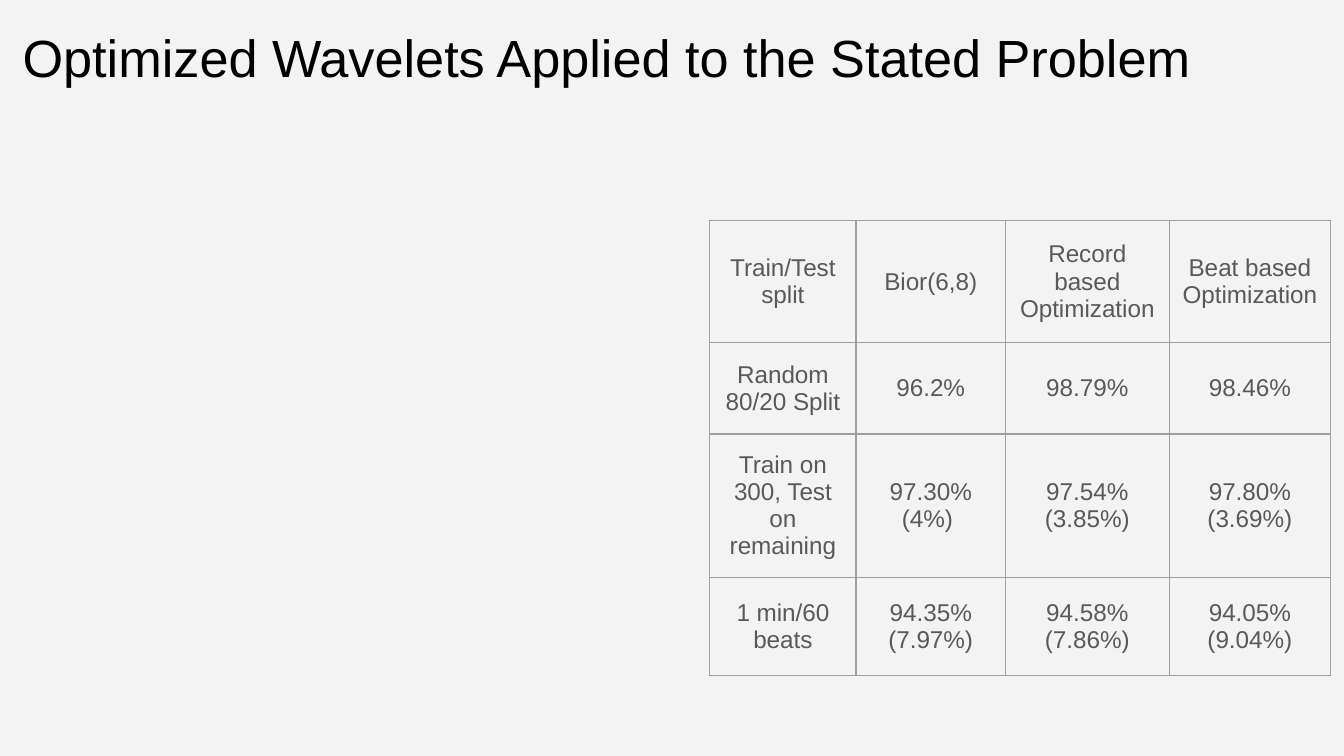
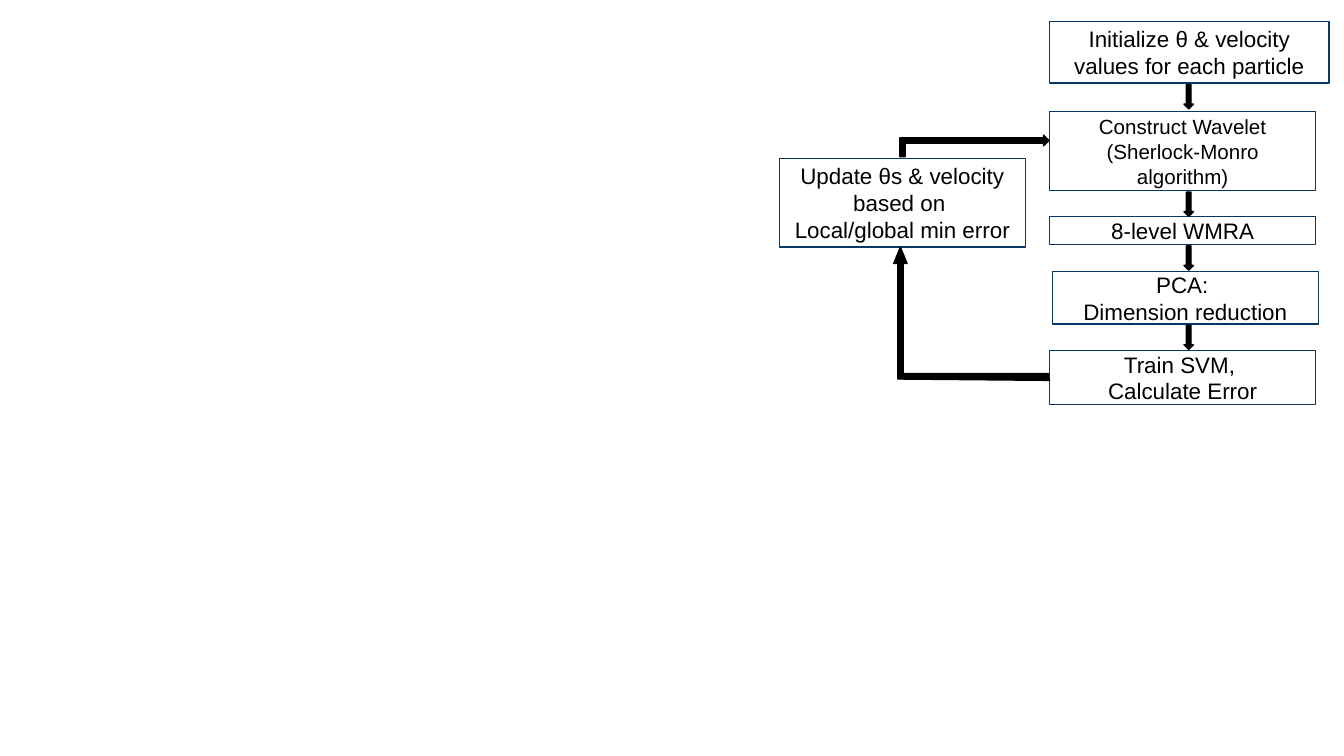
from lxml import etree
from pptx import Presentation
from pptx.dml.color import RGBColor
from pptx.enum.shapes import MSO_SHAPE as Shape
from pptx.enum.text import MSO_ANCHOR as Anchor, PP_ALIGN as Align
from pptx.oxml.ns import qn
from pptx.util import Inches, Pt

FONT = "Arial"
BLACK, GREY, NAVY = "000000", "595959", "073763"
BORDER, PALE, WHITE = "9E9E9E", "F3F3F3", "FFFFFF"
INSET = 0.1
LINE_WIDTH = 0.75


def color(value):
    return RGBColor.from_string(value)


def write(frame, text, size=12, ink=BLACK, align=Align.CENTER, space_after=0):
    """Fill a text frame, one paragraph for each line of text."""
    frame.word_wrap = True
    for index, line in enumerate(text.split("\n")):
        para = frame.add_paragraph() if index else frame.paragraphs[0]
        para.alignment = align
        para.space_after = Pt(space_after)
        span = para.add_run()
        span.text = line
        span.font.name, span.font.size = FONT, Pt(size)
        span.font.color.rgb = color(ink)


def set_margins(target):
    target.margin_left = target.margin_right = Inches(INSET)
    target.margin_top = target.margin_bottom = Inches(INSET)


class Page:
    def __init__(self, deck, background):
        self.slide = deck.slides.add_slide(deck.slide_layouts[6])
        self.shapes = self.slide.shapes
        fill = self.slide.background.fill
        fill.solid()
        fill.fore_color.rgb = color(background)

    def title(self, text, left, top, width, height):
        box = self.shapes.add_textbox(*map(Inches, (left, top, width, height)))
        set_margins(box.text_frame)
        box.text_frame.vertical_anchor = Anchor.TOP
        write(box.text_frame, text, size=28, align=Align.LEFT)

    def style(self, shape, line, fill=None):
        shape.shadow.inherit = False
        shape.line.color.rgb = color(line)
        shape.line.width = Pt(LINE_WIDTH)
        if fill:
            shape.fill.solid()
            shape.fill.fore_color.rgb = color(fill)
        else:
            shape.fill.background()

    def step(self, text, left, top, width, height, size=12):
        box = self.shapes.add_shape(Shape.RECTANGLE, *map(Inches, (left, top, width, height)))
        self.style(box, NAVY)
        set_margins(box.text_frame)
        box.text_frame.vertical_anchor = Anchor.MIDDLE
        write(box.text_frame, text, size=size)

    def arrow(self, kind, left, top, width, height, rotation=0, flip=False):
        arrow = self.shapes.add_shape(kind, *map(Inches, (left, top, width, height)))
        self.style(arrow, BLACK, BLACK)
        arrow.rotation = rotation
        if flip:
            arrow._element.spPr.find(qn("a:xfrm")).set("flipH", "1")

    def outline(self, points):
        start, *rest = [(Inches(x), Inches(y)) for x, y in points]
        builder = self.shapes.build_freeform(*start)
        builder.add_line_segments(rest, close=True)
        self.style(builder.convert_to_shape(), BLACK, BLACK)

    def table(self, rows, left, top, widths, heights):
        frame = self.shapes.add_table(
            len(rows), len(widths), Inches(left), Inches(top),
            Inches(sum(widths)), Inches(sum(heights)))
        table = frame.table
        table.first_row = table.horz_banding = False
        for column, width in zip(table.columns, widths):
            column.width = Inches(width)
        for row, height, texts in zip(table.rows, heights, rows):
            row.height = Inches(height)
            for cell, text in zip(row.cells, texts):
                set_margins(cell)
                cell.vertical_anchor = Anchor.MIDDLE
                write(cell.text_frame, text, size=13, ink=GREY,
                      space_after=16 if "%)" in text else 0)
                self.border(cell)
                cell.fill.background()

    def border(self, cell):
        properties = cell._tc.get_or_add_tcPr()
        for side in ("a:lnL", "a:lnR", "a:lnT", "a:lnB"):
            line = etree.SubElement(properties, qn(side), w=str(Pt(LINE_WIDTH)))
            fill = etree.SubElement(line, qn("a:solidFill"))
            etree.SubElement(fill, qn("a:srgbClr"), val=BORDER)


def build_results(deck):
    page = Page(deck, PALE)
    page.title("Optimized Wavelets Applied to the Stated Problem", 0.07, 0.09, 9.32, 0.63)
    rows = [
        ["Train/Test split", "Bior(6,8)", "Record based Optimization", "Beat based Optimization"],
        ["Random 80/20 Split ", "96.2%", "98.79%", "98.46%"],
        ["Train on 300, Test on remaining", "97.30% (4%) ", "97.54% (3.85%)", "97.80% (3.69%)"],
        ["1 min/60 beats", "94.35% (7.97%)", "94.58% (7.86%)", "94.05% (9.04%)"],
    ]
    page.table(rows, 5.28, 1.64, [1.09, 1.11, 1.22, 1.2], [0.91, 0.68, 0.73, 0.73])


def build_flow(deck):
    page = Page(deck, WHITE)

    # Main column, with an arrow below every step but the last
    steps = [
        ("Initialize θ & velocity values for each particle", 7.81, 0.16, 2.08, 0.46, 12),
        ("Construct Wavelet (Sherlock-Monro algorithm)", 7.81, 0.83, 1.98, 0.59, 11),
        ("8-level WMRA", 7.81, 1.61, 1.98, 0.21, 12),
        ("PCA: \nDimension reduction", 7.83, 2.02, 1.98, 0.39, 12),
        ("Train SVM, \nCalculate Error", 7.81, 2.61, 1.98, 0.4, 12),
    ]
    for step in steps:
        page.step(*step)
    for _, _, top, _, height, _ in steps[:-1]:
        page.arrow(Shape.DOWN_ARROW, 8.81, top + height + 0.01, 0.07, 0.18)

    # Feedback loop
    page.step("Update θs & velocity based on \nLocal/global min error", 5.8, 1.18, 1.83, 0.66)
    page.arrow(Shape.BENT_UP_ARROW, 7.17, 0.53, 0.16, 1.11, rotation=90, flip=True)
    page.outline([(7.8, 2.78), (6.72, 2.78), (6.72, 1.96), (6.75, 1.96), (6.7, 1.84),
                  (6.65, 1.96), (6.68, 1.96), (6.68, 2.82), (7.81, 2.83)])


def main():
    deck = Presentation()
    deck.slide_width = Inches(10)
    deck.slide_height = deck.slide_width * 9 // 16
    build_results(deck)
    build_flow(deck)
    deck.save("out.pptx")


if __name__ == "__main__":
    main()
